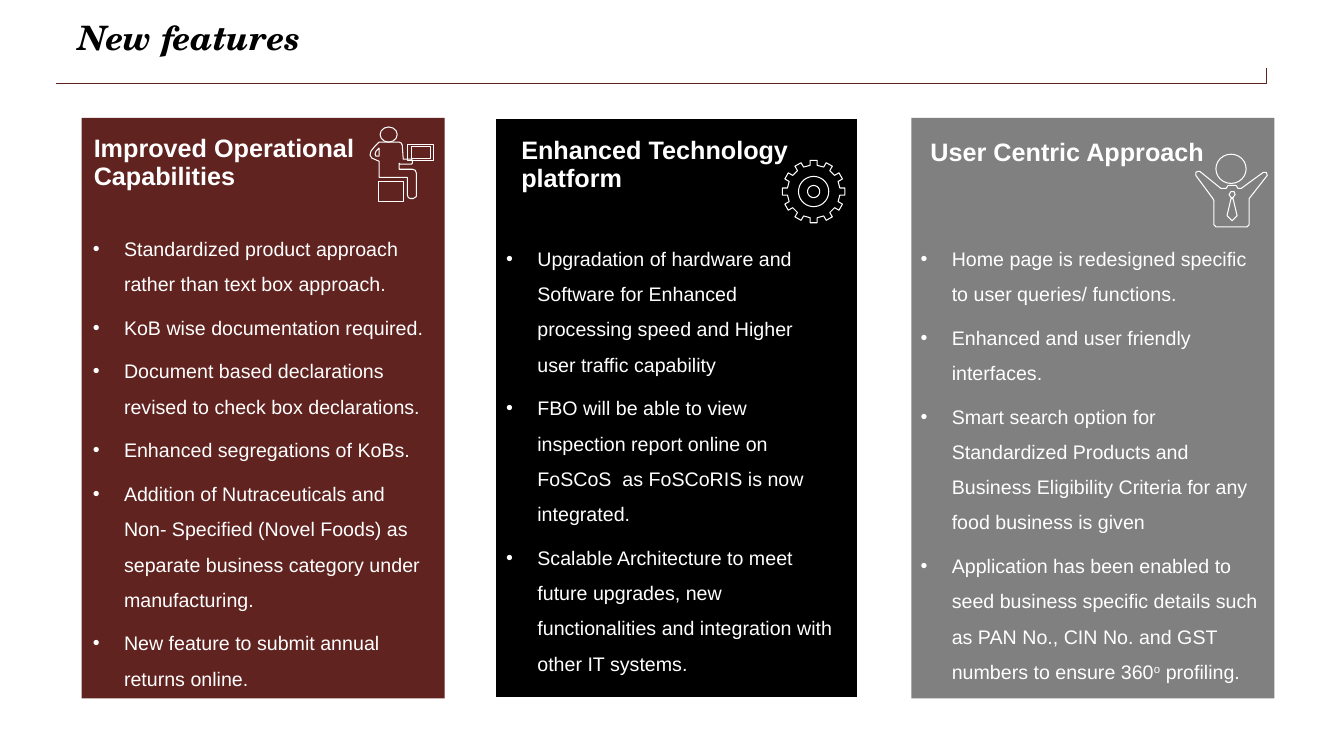
from math import cos, pi, sin

from lxml.etree import SubElement
from pptx import Presentation
from pptx.dml.color import RGBColor
from pptx.enum.shapes import MSO_CONNECTOR, MSO_SHAPE
from pptx.enum.text import MSO_ANCHOR, MSO_AUTO_SIZE, PP_ALIGN
from pptx.oxml.ns import qn
from pptx.util import Inches, Pt

MAROON = RGBColor(0x60, 0x23, 0x20)
BLACK = RGBColor(0, 0, 0)
GREY = RGBColor(0x80, 0x80, 0x80)
WHITE = RGBColor(0xFF, 0xFF, 0xFF)

# Each card: left edge, colour, heading, heading box, alignment, list box, items
# (text between carets is raised)
CARDS = [
    (0.81, MAROON, "Improved Operational Capabilities", (0.93, 1.58, 3.08, 0.31),
     PP_ALIGN.LEFT, (0.92, 2.15, 3.37, 1.16), [
        "Standardized product approach rather than text box approach.",
        "KoB wise documentation required.",
        "Document based declarations revised to check box declarations.",
        "Enhanced segregations of KoBs.",
        "Addition of Nutraceuticals and Non- Specified (Novel Foods) as separate "
        "business category under manufacturing.",
        "New feature to submit annual returns online."]),
    (4.91, BLACK, "Enhanced Technology platform", (5.17, 1.64, 3.38, 0.27),
     PP_ALIGN.LEFT, (5.02, 2.25, 3.25, 0.86), [
        "Upgradation of hardware and Software for Enhanced processing speed and "
        "Higher user traffic capability",
        "FBO will be able to view inspection report online on FoSCoS  as FoSCoRIS "
        "is now integrated.",
        "Scalable Architecture to meet future upgrades, new functionalities and "
        "integration with other IT systems."]),
    (9.04, GREY, "User Centric Approach", (9.07, 1.39, 3.03, 0.27),
     PP_ALIGN.CENTER, (9.13, 2.25, 3.38, 0.89), [
        "Home page is redesigned specific to user queries/ functions.",
        "Enhanced and user friendly interfaces.",
        "Smart search option for Standardized Products and Business Eligibility "
        "Criteria for any food business is given",
        "Application has been enabled to seed business specific details such as "
        "PAN No., CIN No. and GST numbers to ensure 360^o^ profiling."]),
]

presentation = Presentation()
presentation.slide_width = Inches(13.33)
presentation.slide_height = Inches(7.5)
slide = presentation.slides.add_slide(presentation.slide_layouts[4])
shapes = slide.shapes


def write(holder, text, box, size=14, font="Arial", color=WHITE, bold=False,
          italic=False, align=PP_ALIGN.LEFT, anchor=MSO_ANCHOR.TOP, top_inset=0,
          line_spacing=1.0, space_before=0, bullet=False):
    """Place a text holder and fill it with one paragraph per item of text."""
    holder.left, holder.top, holder.width, holder.height = map(Inches, box)
    frame = holder.text_frame
    frame.word_wrap = True
    frame.auto_size = MSO_AUTO_SIZE.NONE
    frame.vertical_anchor = anchor
    frame.margin_left = frame.margin_right = frame.margin_bottom = 0
    frame.margin_top = Inches(top_inset)
    for number, item in enumerate(text):
        paragraph = frame.add_paragraph() if number else frame.paragraphs[0]
        if bullet:
            properties = paragraph._p.get_or_add_pPr()
            properties.set("marL", str(Inches(0.31)))
            properties.set("indent", str(-Inches(0.31)))
            bullet_color = SubElement(properties, qn("a:buClr"))
            SubElement(bullet_color, qn("a:srgbClr"), val=str(color))
            SubElement(properties, qn("a:buFont"), typeface=font)
            SubElement(properties, qn("a:buChar"), char="•")
        paragraph.alignment = align
        paragraph.line_spacing = line_spacing
        paragraph.space_before = Pt(space_before if number else 0)
        for part, words in enumerate(item.split("^")):
            run = paragraph.add_run()
            run.text = words
            run.font.size, run.font.name = Pt(size), font
            run.font.bold, run.font.italic = bold, italic
            run.font.color.rgb = color
            if part % 2:
                run.font._element.set("baseline", "30000")


def trace(*contours):
    """Draw closed contours, in inches, as one white outline."""
    builder = None
    for contour in contours:
        start, *rest = [(Inches(x), Inches(y)) for x, y in contour]
        if builder is None:
            builder = shapes.build_freeform(*start, scale=1.0)
        else:
            builder.move_to(*start)
        builder.add_line_segments(rest, close=True)
    outline = builder.convert_to_shape()
    outline.shadow.inherit = False
    outline.fill.background()
    outline.line.color.rgb = WHITE
    outline.line.width = Pt(0.75)
    return outline


# Bent rule under the title
title_rule = shapes.add_connector(MSO_CONNECTOR.ELBOW, Inches(12.56), Inches(0.67),
                                  Inches(0.56), Inches(0.83))
title_rule.line.color.rgb = MAROON
title_rule.line.width = Pt(1)
rule_properties = title_rule._element.spPr
rule_properties.find(qn("a:xfrm")).set("rot", "10800000")
rule_properties.find(qn("a:prstGeom")).set("prst", "bentConnector2")
SubElement(rule_properties, qn("a:effectLst"))

# Cards with heading and list
for index, (left, color, heading, heading_box, align, list_box, items) in enumerate(CARDS, 1):
    card = shapes.add_shape(MSO_SHAPE.RECTANGLE, Inches(left), Inches(1.17),
                            Inches(3.6), Inches(5.76))
    card.shadow.inherit = False
    card.fill.solid()
    card.fill.fore_color.rgb = color
    if color == BLACK:
        card.line.color.rgb = WHITE
        card.line.width = Pt(2)
    else:
        card.line.fill.background()
    write(shapes.add_textbox(0, 0, 0, 0), [heading], heading_box, size=18, bold=True,
          align=align, anchor=MSO_ANCHOR.BOTTOM, line_spacing=0.9)
    features = slide.placeholders[index]
    shapes._spTree.append(features._element)  # in front of its card
    write(features, items, list_box, top_inset=0.08, line_spacing=1.5,
          space_before=6, bullet=True)

unused = slide.placeholders[4]._element
unused.getparent().remove(unused)

# Gear: twelve teeth and two rings
gear_x, gear_y = 8.07, 1.9
teeth = []
for tooth in range(12):
    angle = tooth * pi / 6
    for out, side in [(0.26, -0.035), (0.31, -0.035), (0.31, 0.035), (0.26, 0.035)]:
        teeth.append((gear_x + out * cos(angle) - side * sin(angle),
                      gear_y + out * sin(angle) + side * cos(angle)))
rings = [[(gear_x + radius * cos(step * pi / 18), gear_y + radius * sin(step * pi / 18))
          for step in range(36)] for radius in (0.15, 0.06)]
gear = trace(teeth, *rings)
gear.fill.solid()
gear.fill.fore_color.rgb = BLACK

# Seated worker: body with bent arm, then screen
trace([(4.13, 1.72), (4.12, 1.69), (4.09, 1.68), (3.96, 1.68), (3.96, 1.62),
       (3.97, 1.63), (4.08, 1.63), (4.09, 1.62), (4.09, 1.59), (4.08, 1.58),
       (4, 1.58), (3.99, 1.44), (3.98, 1.42), (3.96, 1.41), (3.76, 1.41),
       (3.72, 1.45), (3.68, 1.5), (3.67, 1.54), (3.69, 1.57), (3.76, 1.6),
       (3.76, 1.76), (4.04, 1.76), (4.04, 1.93), (4.05, 1.96), (4.07, 1.97),
       (4.1, 1.97), (4.13, 1.95)],
      [(3.73, 1.55), (3.72, 1.53), (3.73, 1.5), (3.76, 1.47), (3.76, 1.55)])
trace([(4.04, 1.43), (4.04, 1.59), (4.3, 1.59), (4.3, 1.43)],
      [(4.27, 1.57), (4.08, 1.57), (4.08, 1.45), (4.27, 1.45)])

# Cheering user: body, tie knot and tie
trace([(12.06, 2.25), (12.37, 2.25), (12.39, 2.23), (12.39, 1.99), (12.39, 1.97),
       (12.57, 1.74), (12.56, 1.71), (12.53, 1.71), (12.31, 1.87), (12.28, 1.87),
       (12.26, 1.84), (12.18, 1.84), (12.16, 1.87), (12.11, 1.87), (11.9, 1.7),
       (11.88, 1.7), (11.86, 1.71), (11.86, 1.74), (12.03, 1.97), (12.04, 1.99),
       (12.04, 2.23)],
      [(12.19, 1.93), (12.21, 1.9), (12.24, 1.9), (12.25, 1.93), (12.23, 1.96),
       (12.21, 1.96)],
      [(12.27, 2.14), (12.22, 2.19), (12.17, 2.14), (12.21, 1.97), (12.23, 1.97)])

# Worker's head and stool, user's head
for preset, box in [(MSO_SHAPE.OVAL, (3.77, 1.26, 0.17, 0.15)),
                    (MSO_SHAPE.RECTANGLE, (3.75, 1.8, 0.25, 0.2)),
                    (MSO_SHAPE.OVAL, (12.06, 1.53, 0.3, 0.29))]:
    icon_part = shapes.add_shape(preset, *map(Inches, box))
    icon_part.shadow.inherit = False
    icon_part.fill.background()
    icon_part.line.color.rgb = WHITE
    icon_part.line.width = Pt(0.75)

# Title
write(shapes.title, ["New features"], (0.78, 0.17, 11.78, 1), size=24,
      font="TeX Gyre Schola", color=BLACK, bold=True, italic=True)

presentation.save("out.pptx")
